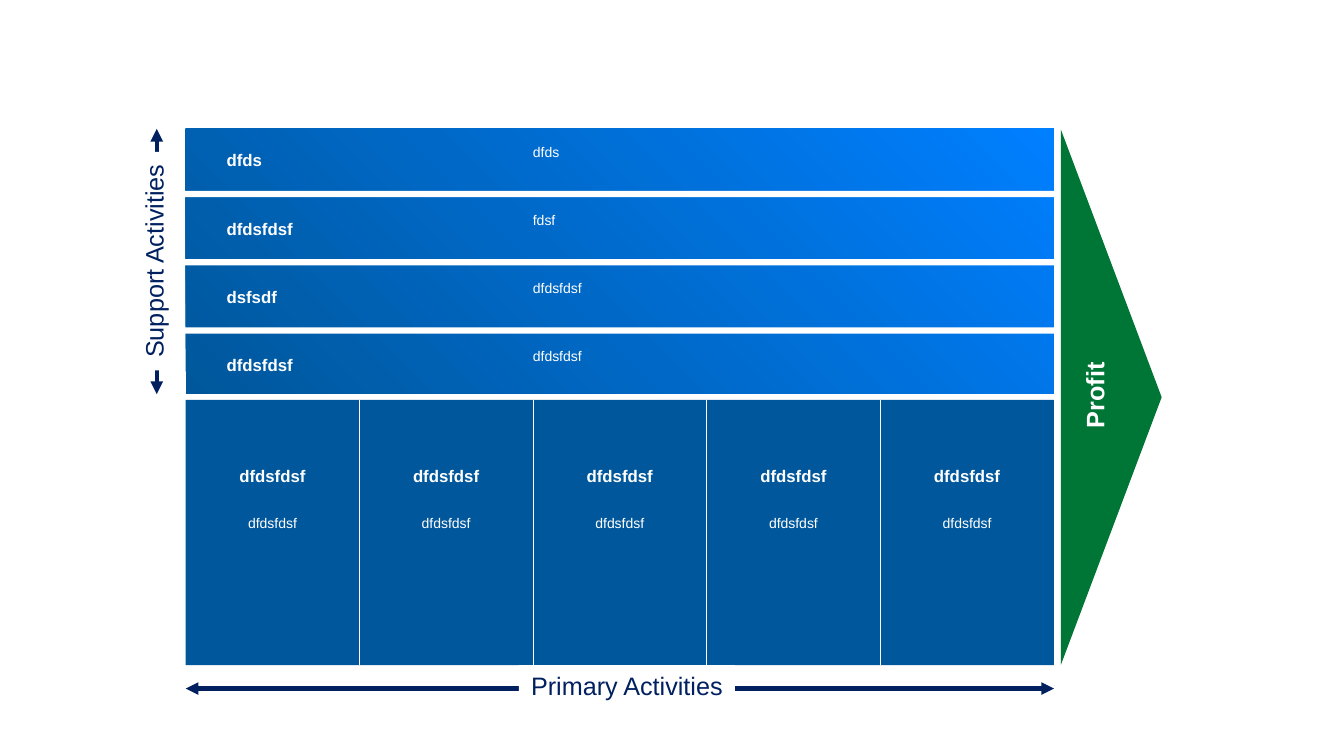
from lxml.etree import SubElement
from pptx import Presentation
from pptx.dml.color import RGBColor
from pptx.enum.shapes import MSO_CONNECTOR, MSO_SHAPE
from pptx.enum.text import MSO_AUTO_SIZE, PP_ALIGN
from pptx.oxml.ns import qn
from pptx.util import Cm, Pt

COLORS = {
    "white": "FFFFFF",
    "navy": "002060",
    "blue": "00579B",
    "bright": "007FFF",
    "green": "007636",
}
FONT = "Arial"

CHAIN_LEFT, CHAIN_WIDTH = 4.68, 21.88
CHAIN_RIGHT = CHAIN_LEFT + CHAIN_WIDTH
SUPPORT_TOP, PRIMARY_TOP, BLOCK_HEIGHT = 3.25, 10.08, 6.68
ROW_PITCH, ROW_GAP = 1.72, 0.16

SUPPORT_ACTIVITIES = [
    ("dfds", "dfds"),
    ("dfdsfdsf", "fdsf"),
    ("dsfsdf", "dfdsfdsf"),
    ("dfdsfdsf", "dfdsfdsf"),
]
PRIMARY_ACTIVITIES = [("dfdsfdsf", "dfdsfdsf")] * 5


def color(name):
    return RGBColor.from_string(COLORS[name])


def add_block(slide, left, top, width, height, fill, kind=MSO_SHAPE.RECTANGLE):
    block = slide.shapes.add_shape(kind, Cm(left), Cm(top), Cm(width), Cm(height))
    block.shadow.inherit = False
    block.line.fill.background()
    block.fill.solid()
    block.fill.fore_color.rgb = color(fill)
    return block


def add_line(slide, start, end, line_color, width, arrows=False):
    line = slide.shapes.add_connector(
        MSO_CONNECTOR.STRAIGHT, *(Cm(value) for value in start + end))
    line.line.color.rgb = color(line_color)
    line.line.width = Pt(width)
    properties = line._element.spPr
    if arrows:
        for end_tag in ("a:headEnd", "a:tailEnd"):
            SubElement(properties.find(qn("a:ln")), qn(end_tag), type="triangle")
    SubElement(properties, qn("a:effectLst"))


def add_text(slide, text, left, top, width, height, size, text_color="white",
             bold=False, centered=False, wrap=True):
    box = slide.shapes.add_textbox(Cm(left), Cm(top), Cm(width), Cm(height))
    frame = box.text_frame
    frame.word_wrap = wrap
    frame.auto_size = MSO_AUTO_SIZE.SHAPE_TO_FIT_TEXT
    paragraph = frame.paragraphs[0]
    paragraph.alignment = PP_ALIGN.CENTER if centered else PP_ALIGN.LEFT
    run = paragraph.add_run()
    run.text = text
    run.font.name = FONT
    run.font.size = Pt(size)
    run.font.bold = bold
    run.font.color.rgb = color(text_color)
    return box


def add_axis_label(slide, text, left, top, width):
    """Label on a white ground that interrupts the arrow behind it."""
    label = add_text(slide, text, left, top, width, 1.02, 18, "navy",
                     centered=True, wrap=False)
    label.fill.solid()
    label.fill.fore_color.rgb = color("white")
    return label


def add_support_block(slide):
    block = add_block(slide, CHAIN_LEFT, SUPPORT_TOP, CHAIN_WIDTH, BLOCK_HEIGHT, "blue")
    block.fill.gradient()
    block.fill.gradient_angle = 45
    for stop, name in zip(block.fill.gradient_stops, ("blue", "bright")):
        stop.color.rgb = color(name)
    for row, (name, detail) in enumerate(SUPPORT_ACTIVITIES):
        offset = row * ROW_PITCH
        if row:
            add_block(slide, 3.78, SUPPORT_TOP + offset - ROW_GAP, 22.81, ROW_GAP, "white")
        add_text(slide, name, 5.46, 3.66 + offset, 6.99, 0.76, 12, bold=True)
        add_text(slide, detail, 13.18, 3.48 + offset, 12.17, 0.69, 10)


def add_primary_block(slide):
    add_block(slide, CHAIN_LEFT, PRIMARY_TOP, CHAIN_WIDTH, BLOCK_HEIGHT, "blue")
    column_width = CHAIN_WIDTH / len(PRIMARY_ACTIVITIES)
    for column, (name, detail) in enumerate(PRIMARY_ACTIVITIES):
        left = CHAIN_LEFT + column * column_width
        if column:
            add_line(slide, (left, PRIMARY_TOP), (left, PRIMARY_TOP + BLOCK_HEIGHT),
                     "white", 0.5)
        add_text(slide, name, left, 11.61, column_width, 0.76, 12, bold=True, centered=True)
        add_text(slide, detail, left, 12.85, column_width, 0.69, 10, centered=True)


def add_profit_arrow(slide):
    margin = add_block(slide, 21.26, 8.74, 13.49, 2.54, "green",
                       MSO_SHAPE.ISOSCELES_TRIANGLE)
    margin.rotation = 90
    profit = add_text(slide, "Profit", 26.49, 9.45, 2.18, 1.02, 18,
                      bold=True, centered=True, wrap=False)
    profit.rotation = 270


def main():
    presentation = Presentation()
    presentation.slide_width, presentation.slide_height = Cm(33.87), Cm(19.05)
    slide = presentation.slides.add_slide(presentation.slide_layouts[6])

    add_line(slide, (3.95, SUPPORT_TOP), (3.95, SUPPORT_TOP + BLOCK_HEIGHT),
             "navy", 3, arrows=True)
    add_line(slide, (CHAIN_LEFT, 17.35), (CHAIN_RIGHT, 17.35), "navy", 3, arrows=True)
    add_support_block(slide)
    add_primary_block(slide)
    add_profit_arrow(slide)
    add_axis_label(slide, "Primary Activities", 13.08, 16.76, 5.44)
    add_axis_label(slide, "Support Activities", 1.12, 6.07, 5.51).rotation = 270

    presentation.save("out.pptx")


if __name__ == "__main__":
    main()
